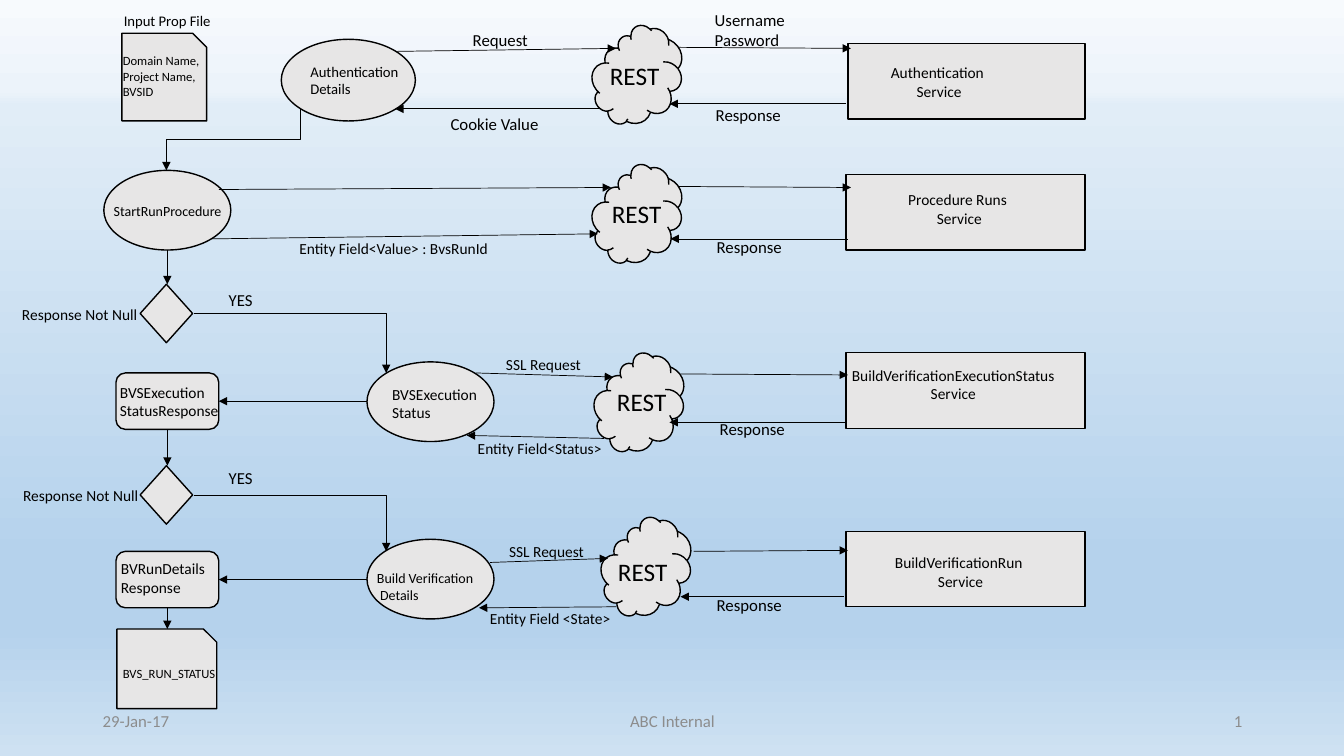
from lxml.etree import SubElement
from pptx import Presentation
from pptx.dml.color import RGBColor
from pptx.enum.shapes import MSO_CONNECTOR, MSO_SHAPE
from pptx.enum.text import MSO_ANCHOR, MSO_AUTO_SIZE, PP_ALIGN
from pptx.oxml.ns import qn
from pptx.util import Inches, Pt

HUES = {"ink": "000000", "box": "E7E6E6", "foot": "8C8C8C"}
SKY = [(0, "F7FAFD"), (12, "ECF3FA"), (14, "E1EDF7"),
       (74, "B5D2EC"), (83, "B5D2EC"), (100, "CEE1F2")]
LEFT, MID, RIGHT = PP_ALIGN.LEFT, PP_ALIGN.CENTER, PP_ALIGN.RIGHT

deck = Presentation()
deck.slide_width, deck.slide_height = Inches(13.33), Inches(7.5)
slide = deck.slides.add_slide(deck.slide_layouts[6])


def write(words, size, x, y, w, h, wrap=True, align=LEFT, hue="ink"):
    box = slide.shapes.add_textbox(Inches(x), Inches(y), Inches(w), Inches(h))
    frame = box.text_frame
    frame.text = words
    frame.word_wrap = wrap
    frame.auto_size = MSO_AUTO_SIZE.SHAPE_TO_FIT_TEXT
    for para in frame.paragraphs:
        para.alignment = align
        for run in para.runs:
            run.font.name, run.font.size = "Calibri", Pt(size)
            run.font.color.rgb = RGBColor.from_string(HUES[hue])
    return frame


def join(x1, y1, x2, y2, kind=MSO_CONNECTOR.STRAIGHT):
    link = slide.shapes.add_connector(
        kind, Inches(x1), Inches(y1), Inches(x2), Inches(y2))
    link.line.width = Pt(0.5)
    link.line.color.rgb = RGBColor.from_string(HUES["ink"])
    SubElement(link.line._get_or_add_ln(), qn("a:tailEnd"), type="triangle")
    props = link._element.spPr
    SubElement(props, qn("a:effectLst"))
    return props


# Background gradient, top to bottom
fill = slide.background.fill
fill.gradient()
fill.gradient_angle = 270
stops = slide.background._cSld.find(".//" + qn("a:gsLst"))
for stop in list(stops):
    stops.remove(stop)
for place, hue in SKY:
    stop = SubElement(stops, qn("a:gs"), pos=str(place * 1000))
    SubElement(stop, qn("a:srgbClr"), val=hue)

# Footer
for words, x, w, align in [("29-Jan-17", 0.92, 3, LEFT),
                           ("ABC Internal", 4.42, 4.5, MID),
                           ("1", 9.42, 3, RIGHT)]:
    frame = write(words, 12, x, 6.95, w, 0.4, align=align, hue="foot")
    frame.auto_size = MSO_AUTO_SIZE.NONE
    frame.vertical_anchor = MSO_ANCHOR.MIDDLE

# Nodes, grouped by preset: each spot is left, top, width, height
nodes = {
    MSO_SHAPE.OVAL: [(2.79, 0.39, 1.33, 0.81), (1.03, 1.69, 1.26, 0.79),
                     (3.64, 3.59, 1.26, 0.79), (3.64, 5.35, 1.26, 0.79)],
    MSO_SHAPE.SNIP_1_RECTANGLE: [(1.21, 0.33, 0.84, 0.87),
                                 (1.16, 6.24, 0.99, 0.79)],
    MSO_SHAPE.DIAMOND: [(1.39, y, 0.52, 0.58) for y in (2.82, 4.62)],
    MSO_SHAPE.ROUNDED_RECTANGLE: [(1.15, y, 1.02, 0.56) for y in (3.7, 5.47)],
    MSO_SHAPE.RECTANGLE: [(8.41, 0.43, 2.35, 0.75)]
    + [(8.39, y, 2.37, 0.75) for y in (1.73, 3.5, 5.27)],
    MSO_SHAPE.CLOUD: [(x, y, 0.99, 0.84) for x, y in
                      ((5.84, 0.35), (5.84, 1.73), (5.86, 3.6), (5.93, 5.23))],
}
for kind, spots in nodes.items():
    for spot in spots:
        node = slide.shapes.add_shape(kind, *map(Inches, spot))
        node.shadow.inherit = False
        node.fill.solid()
        node.fill.fore_color.rgb = RGBColor.from_string(HUES["box"])
        node.line.color.rgb = RGBColor.from_string(HUES["ink"])
        node.line.width = Pt(1)
        if kind == MSO_SHAPE.CLOUD:
            node.rotation = 322.3

# Straight arrows
for ends in [
    # Steps and clouds
    (3.92, 0.51, 6.11, 0.48), (5.95, 1.08, 3.92, 1.08),
    (2.17, 1.88, 6.06, 1.86), (2.1, 2.37, 5.93, 2.32),
    (4.72, 3.7, 6.08, 3.74), (5.99, 4.35, 4.63, 4.32),
    (4.86, 5.58, 6.03, 5.54), (6.11, 6.02, 4.75, 6.03),
    # Clouds and services
    (6.73, 0.47, 8.44, 0.48), (8.39, 1.03, 6.64, 1.03),
    (6.73, 1.85, 8.44, 1.86), (8.41, 2.37, 6.65, 2.37),
    (6.75, 3.71, 8.41, 3.72), (8.39, 4.19, 6.64, 4.19),
    (6.88, 5.47, 8.41, 5.46), (8.37, 5.92, 6.75, 5.92),
    # Left column
    (1.66, 2.48, 1.66, 2.82), (1.66, 4.26, 1.66, 4.62),
    (1.66, 6.03, 1.66, 6.24),
    (3.64, 3.98, 2.17, 3.98), (3.64, 5.75, 2.17, 5.75),
]:
    join(*ends)

# Bent arrows: one turned down-left-down, two with a single corner
turn = join(2.01, 0.72, 2.62, 2.05, MSO_CONNECTOR.ELBOW)
turn.find(qn("a:xfrm")).set("rot", str(90 * 60000))
for y1, y2 in [(3.11, 3.7), (4.91, 5.47)]:
    bend = join(1.92, y1, 3.83, y2, MSO_CONNECTOR.ELBOW)
    bend.find(qn("a:prstGeom")).set("prst", "bentConnector2")

# Labels that wrap in their box
for label in [
    ("Input Prop File", 10.5, 1.13, 0.07, 1.37, 0.28),
    ("Domain Name,\nProject Name,\nBVSID", 9, 1.12, 0.48, 2.03, 0.56),
    ("Authentication Details", 10.5, 2.98, 0.57, 1.14, 0.45),
    ("REST", 18, 5.95, 0.55, 0.82, 0.4),
    ("Username\nPassword", 12, 6.99, 0.05, 1.45, 0.5),
    ("Response", 12, 7, 0.99, 1.32, 0.3),
    ("StartRunProcedure", 10, 1.03, 1.96, 2.24, 0.27),
    ("Entity Field<Value> : BvsRunId", 11, 2.87, 2.32, 2.84, 0.29),
    ("YES", 12, 2.17, 2.83, 0.7, 0.3),
    ("Response Not Null", 11, 0.12, 2.98, 2.54, 0.29),
    ("BVSExecution\nStatusResponse", 11, 1.09, 3.75, 2.24, 0.47),
    ("BVSExecution\nStatus", 11, 3.79, 3.77, 2, 0.47),
    ("SSL Request", 11, 4.92, 3.47, 1.42, 0.29),
    ("Entity Field<Status>", 11, 4.64, 4.31, 2.57, 0.29),
    ("BVRunDetails\nResponse", 11, 1.1, 5.5, 1.82, 0.47),
    ("Build Verification\n Details", 10, 3.64, 5.6, 2.62, 0.44),
    ("Entity Field <State>", 11, 4.76, 5.99, 2.42, 0.29),
    ("BVS_RUN_STATUS", 9, 1.12, 6.56, 2.24, 0.25),
]:
    write(*label)

# Labels on one line
for label in [
    ("Request", 12, 4.59, 0.25, 0.75, 0.3),
    ("Cookie Value", 12, 4.37, 1.08, 1.08, 0.3),
    ("REST", 18, 5.97, 1.92, 0.7, 0.4),
    ("REST", 18, 6.02, 3.78, 0.7, 0.4),
    ("REST", 18, 6.03, 5.47, 0.7, 0.4),
    ("Response", 12, 7.01, 2.3, 0.86, 0.3),
    ("Response", 12, 7.04, 4.11, 0.86, 0.3),
    ("Response", 12, 7.01, 5.85, 0.86, 0.3),
    ("YES", 12, 2.17, 4.59, 0.44, 0.3),
    ("Response Not Null", 11, 0.13, 4.77, 1.35, 0.29),
    ("SSL Request", 11, 4.95, 5.33, 0.95, 0.29),
]:
    write(*label, wrap=False)

# Service names
for words, x, y, w in [
    ("Authentication \nService", 8.33, 0.58, 1.97),
    ("Procedure Runs \nService", 8.32, 1.84, 2.39),
    ("BuildVerificationExecutionStatus\vService", 8.32, 3.58, 2.27),
    ("BuildVerificationRun\n Service", 8.31, 5.44, 2.4),
]:
    write(words, 11, x, y, w, 0.47, align=MID)

deck.save("out.pptx")
